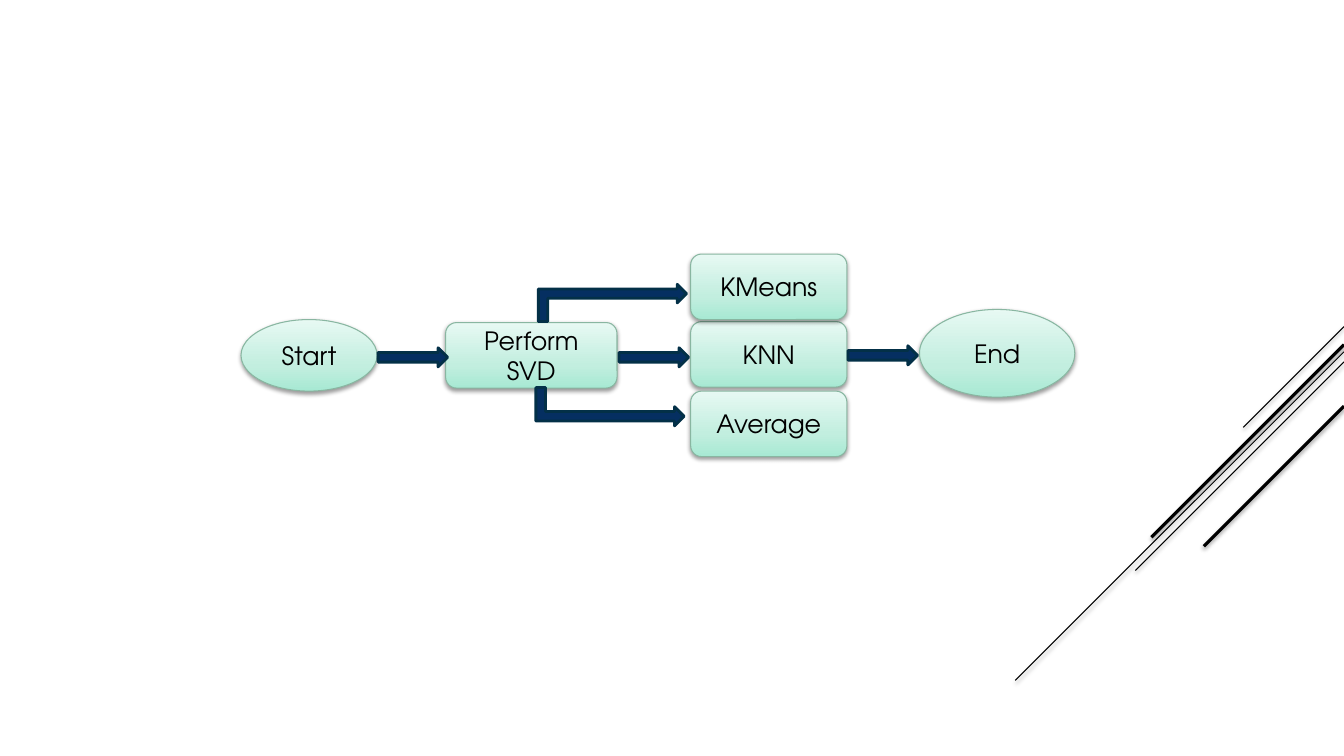
from lxml import etree
from pptx import Presentation
from pptx.dml.color import RGBColor
from pptx.enum import shapes, text
from pptx.oxml import parse_xml
from pptx.oxml.ns import qn
from pptx.util import Inches, Pt

NS = 'xmlns:a="http://schemas.openxmlformats.org/drawingml/2006/main"'
KIND = shapes.MSO_SHAPE
INK, NAVY, NAVY_EDGE, MINT_EDGE = "000000", "052F61", "033047", "89B6A1"
MINT_STOPS = [(0, "A7E9D3"), (35, "C2EEDF"), (100, "E7F9F3")]


def rgb(value):
    return RGBColor.from_string(value)


def add_soft_shadow(properties):
    """Fill the effect list, which comes after the line, with a short drop shadow."""
    effects = properties.find(qn("a:effectLst"))
    if effects is None:
        effects = etree.SubElement(properties, qn("a:effectLst"))
    effects.append(parse_xml(
        f'<a:outerShdw {NS} blurRad="{Pt(3.1)}" dist="{Pt(1.6)}" dir="5400000" '
        f'rotWithShape="0"><a:srgbClr val="{INK}"><a:alpha val="38000"/>'
        '</a:srgbClr></a:outerShdw>'))


deck = Presentation()
deck.slide_width, deck.slide_height = Inches(13.33), Inches(7.5)
slide = deck.slides.add_slide(deck.slide_layouts[6])

# Diagonal rays at 45 degrees from the right edge: start height, run, weight
right_edge = 13.33
for top, run, weight in [(3.24, 1, 0.75), (3.49, 3.26, 0.75), (3.59, 2.07, 0.75),
                         (3.42, 1.91, 2.25), (4.03, 1.39, 2.25)]:
    ray = slide.shapes.add_connector(
        shapes.MSO_CONNECTOR.STRAIGHT, Inches(right_edge), Inches(top),
        Inches(right_edge - run), Inches(top + run))
    ray.line.color.rgb = rgb(INK)
    ray.line.width = Pt(weight)
    add_soft_shadow(ray._element.spPr)

# Steps of the flow
box, oval = KIND.ROUNDED_RECTANGLE, KIND.OVAL
steps = [
    ("Perform SVD", box, 4.42, 3.2, 1.7, 0.65),
    ("KNN", box, 6.85, 3.19, 1.55, 0.65),
    ("Start", oval, 2.39, 3.17, 1.35, 0.71),
    ("End", oval, 9.12, 3.07, 1.54, 0.87),
    ("KMeans", box, 6.85, 2.52, 1.55, 0.65),
    ("Average", box, 6.85, 3.88, 1.55, 0.65),
]
stops = "".join(f'<a:gs pos="{position * 1000}"><a:srgbClr val="{color}"/></a:gs>'
                for position, color in MINT_STOPS)
for label, kind, *frame in steps:
    step = slide.shapes.add_shape(kind, *map(Inches, frame))
    step.line.color.rgb = rgb(MINT_EDGE)
    step.line.width = Pt(0.75)
    step.shadow.inherit = False
    properties = step._element.spPr
    properties.find(qn("a:prstGeom")).addnext(parse_xml(
        f'<a:gradFill {NS} rotWithShape="1"><a:gsLst>{stops}</a:gsLst>'
        '<a:lin ang="16200000" scaled="0"/></a:gradFill>'))
    add_soft_shadow(properties)
    step.text_frame.word_wrap = True
    step.text_frame.vertical_anchor = text.MSO_ANCHOR.MIDDLE
    paragraph = step.text_frame.paragraphs[0]
    paragraph.alignment = text.PP_ALIGN.CENTER
    run = paragraph.add_run()
    run.text = label
    run.font.size = Pt(18)
    run.font.name = "TeX Gyre Adventor"
    run.font.color.rgb = rgb(INK)

# Arrows between the steps: the bent ones are turned, the upper one is mirrored
bent, straight = KIND.BENT_UP_ARROW, KIND.RIGHT_ARROW
arrows = [
    (bent, 90, False, 5.86, 3.3, 0.38, 1.47),
    (bent, 90, True, 5.89, 2.27, 0.37, 1.47),
    (straight, 0, False, 6.14, 3.45, 0.69, 0.19),
    (straight, 0, False, 3.75, 3.45, 0.69, 0.19),
    (straight, 0, False, 8.41, 3.43, 0.69, 0.19),
]
for kind, turn, mirrored, *frame in arrows:
    arrow = slide.shapes.add_shape(kind, *map(Inches, frame))
    arrow.rotation = turn
    if mirrored:
        arrow._element.spPr.xfrm.set("flipH", "1")
    arrow.fill.solid()
    arrow.fill.fore_color.rgb = rgb(NAVY)
    arrow.line.color.rgb = rgb(NAVY_EDGE)
    arrow.line.width = Pt(2)
    arrow.shadow.inherit = False

deck.save("out.pptx")
